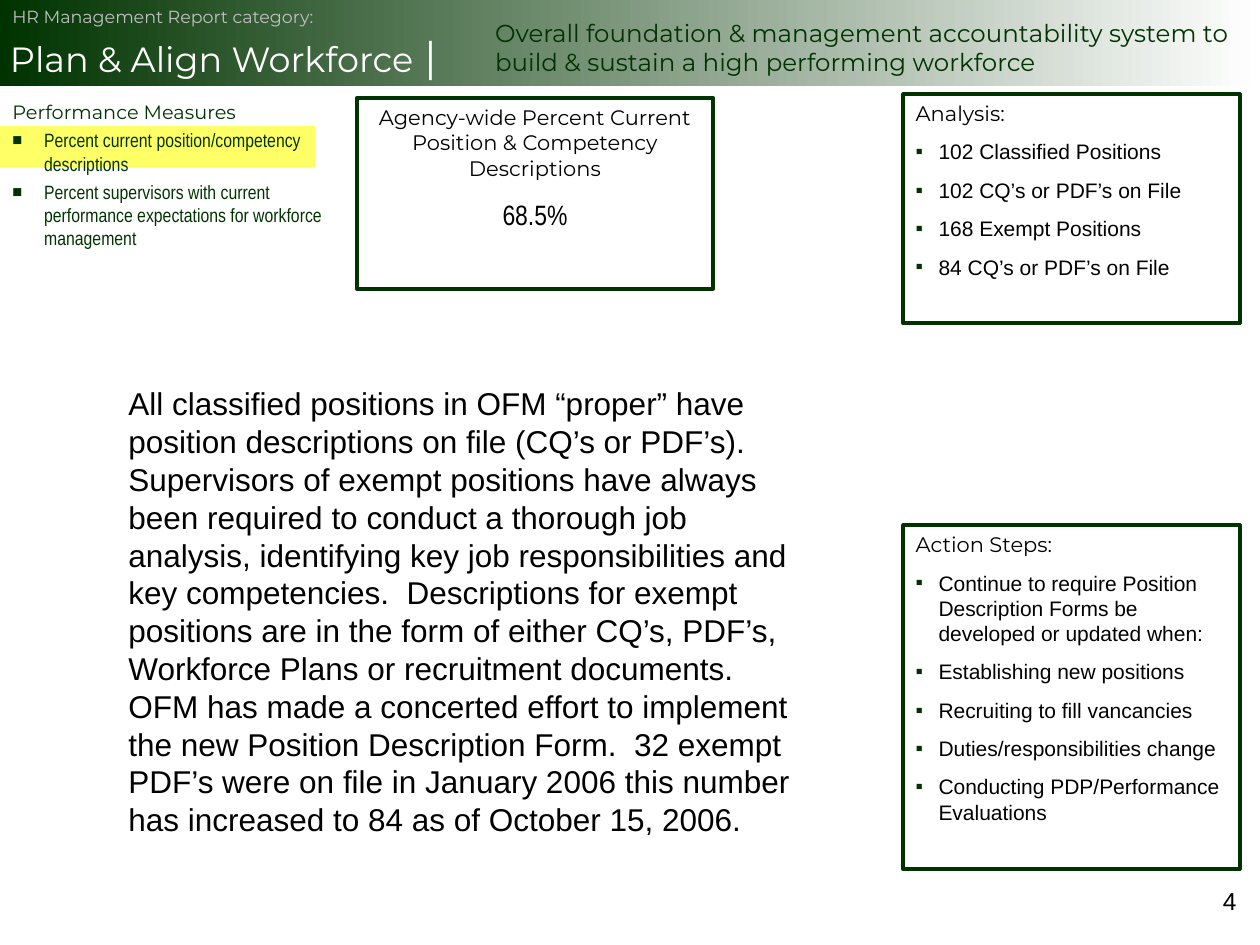
from lxml.etree import SubElement
from pptx import Presentation
from pptx.dml.color import RGBColor
from pptx.enum.shapes import MSO_SHAPE as Preset
from pptx.enum.text import MSO_ANCHOR as Anchor, MSO_AUTO_SIZE as AutoSize, PP_ALIGN as Align
from pptx.oxml.ns import qn
from pptx.util import Cm, Pt

GREEN = RGBColor(0x00, 0x33, 0x00)
YELLOW = RGBColor(0xFF, 0xFF, 0x66)
SILVER = RGBColor(0xC0, 0xC0, 0xC0)
WHITE = RGBColor(0xFF, 0xFF, 0xFF)
BLACK = RGBColor(0x00, 0x00, 0x00)
HEADING, BODY, NARROW = "Montserrat", "Arial", "Arial Narrow"

NARRATIVE = (
    "All classified positions in OFM “proper” have position descriptions on file "
    "(CQ’s or PDF’s).  Supervisors of exempt positions have always been required to "
    "conduct a thorough job analysis, identifying key job responsibilities and key "
    "competencies.  Descriptions for exempt positions are in the form of either CQ’s, "
    "PDF’s, Workforce Plans or recruitment documents.  OFM has made a concerted effort "
    "to implement the new Position Description Form.  32 exempt PDF’s were on file in "
    "January 2006 this number has increased to 84 as of October 15, 2006."
)
MEASURES = [
    "Percent current position/competency descriptions",
    "Percent supervisors with current performance expectations for workforce management",
]
ANALYSIS = [
    "102 Classified Positions",
    "102 CQ’s or PDF’s on File",
    "168 Exempt Positions",
    "84 CQ’s or PDF’s on File",
]
ACTIONS = [
    "Continue to require Position Description Forms be developed or updated when:",
    "Establishing new positions",
    "Recruiting to fill vancancies",
    "Duties/responsibilities change",
    "Conducting PDP/Performance Evaluations",
]


def set_all(target, values):
    """Set each named attribute of the target."""
    for name, value in values.items():
        setattr(target, name, value)


def prepare_frame(shape, **values):
    """Give a shape's text frame the common settings and return it."""
    defaults = dict(word_wrap=True, auto_size=AutoSize.NONE, vertical_anchor=Anchor.TOP,
                    margin_left=Cm(0.25), margin_right=Cm(0.25),
                    margin_top=Cm(0.13), margin_bottom=Cm(0.13))
    set_all(shape.text_frame, defaults | values)
    return shape.text_frame


def add_run(paragraph, text, size, name, color):
    """Append a formatted run to a paragraph."""
    run = paragraph.add_run()
    run.text = text
    set_all(run.font, dict(size=Pt(size), name=name))
    run.font.color.rgb = color


def add_paragraph(frame, text, size, name, color, **values):
    """Fill the empty first paragraph or append another one."""
    first = frame.paragraphs[0]
    paragraph = frame.add_paragraph() if first.runs else first
    set_all(paragraph, dict(alignment=Align.LEFT) | values)
    add_run(paragraph, text, size, name, color)
    return paragraph


def add_bullet(paragraph, symbol, indent, percent):
    """Give a paragraph a green hanging bullet."""
    properties = paragraph._p.get_or_add_pPr()
    properties.set("marL", str(indent))
    properties.set("indent", str(-indent))
    color = SubElement(properties, qn("a:buClr"))
    SubElement(color, qn("a:srgbClr"), val=str(GREEN))
    SubElement(properties, qn("a:buSzPct"), val=str(percent * 1000))
    SubElement(properties, qn("a:buFont"), typeface=BODY)
    SubElement(properties, qn("a:buChar"), char=symbol)


def add_bullet_list(frame, items, size, name, color, space, symbol, indent, percent=100):
    """Append bulleted paragraphs to a frame."""
    for item in items:
        paragraph = add_paragraph(frame, item, size, name, color, space_before=Pt(space))
        add_bullet(paragraph, symbol, indent, percent)


def add_text(slide, box, text, size, name, color, **values):
    """Add a text box with one paragraph and return its frame."""
    frame = prepare_frame(slide.shapes.add_textbox(*map(Cm, box)))
    add_paragraph(frame, text, size, name, color, **values)
    return frame


def add_rectangle(slide, box):
    """Add a rectangle without shadow or line."""
    shape = slide.shapes.add_shape(Preset.RECTANGLE, *map(Cm, box))
    shape.shadow.inherit = False
    shape.line.fill.background()
    return shape


def add_panel(slide, box, heading, alignment=Align.LEFT):
    """Add a green-framed panel with a heading and return its frame."""
    shape = add_rectangle(slide, box)
    shape.fill.background()
    shape.line.color.rgb = GREEN
    shape.line.width = Pt(2.25)
    frame = prepare_frame(shape)
    add_paragraph(frame, heading, 12, HEADING, BLACK, alignment=alignment)
    return frame


def add_band(slide):
    """Add the gradient header band with the category name."""
    band = add_rectangle(slide, (0, 0, 25.4, 1.73))
    band.fill.gradient()
    band.fill.gradient_angle = 0
    for stop, color in zip(band.fill.gradient_stops, (GREEN, WHITE)):
        stop.color.rgb = color
    frame = prepare_frame(band, margin_left=Cm(0.2), margin_right=Cm(0.2),
                          margin_top=Cm(0.1), margin_bottom=Cm(0.1))
    paragraph = add_paragraph(frame, "Plan & Align Workforce", 20, HEADING, WHITE,
                              line_spacing=1.5)
    add_run(paragraph, " |", 24, HEADING, WHITE)


def place_title(slide, box, text):
    """Move the title placeholder above the band and fill it."""
    title = slide.shapes.title
    set_all(title, dict(zip(("left", "top", "width", "height"), map(Cm, box))))
    slide.shapes.element.append(title.element)
    frame = prepare_frame(title, vertical_anchor=Anchor.MIDDLE)
    add_paragraph(frame, text, 14, HEADING, GREEN)


def main():
    """Build and save the slide."""
    presentation = Presentation()
    set_all(presentation, dict(slide_width=Cm(25.4), slide_height=Cm(19.05)))
    slide = presentation.slides.add_slide(presentation.slide_layouts[5])

    highlight = add_rectangle(slide, (0, 2.54, 6.35, 0.84))
    highlight.fill.solid()
    highlight.fill.fore_color.rgb = YELLOW
    measures = add_text(slide, (0, 1.9, 6.99, 5.28), "Performance Measures", 11, HEADING, GREEN)
    add_bullet_list(measures, MEASURES, 11, NARROW, GREEN, 2.8, "■", Cm(0.64), 85)

    add_band(slide)
    add_text(slide, (0, 0, 7.62, 0.69), "HR Management Report category:", 10, HEADING, SILVER)
    place_title(slide, (9.73, 0, 15.67, 1.9),
                "Overall foundation & management accountability system to "
                "build & sustain a high performing workforce")

    percent = add_panel(slide, (7.19, 1.98, 7.19, 3.84),
                        "Agency-wide Percent Current Position & Competency Descriptions",
                        Align.CENTER)
    add_paragraph(percent, "68.5%", 16, NARROW, BLACK, alignment=Align.CENTER,
                  space_before=Pt(10))
    add_text(slide, (2.34, 7.62, 13.97, 9.4), NARRATIVE, 18, BODY, BLACK)

    for heading, items, top, height in (("Analysis:", ANALYSIS, 1.9, 4.62),
                                        ("Action Steps:", ACTIONS, 10.59, 6.93)):
        panel = add_panel(slide, (18.21, top, 6.78, height), heading)
        add_bullet_list(panel, items, 12, BODY, BLACK, 7.5, "▪", Cm(0.46))

    add_text(slide, (19.25, 17.73, 5.93, 1.32), "4", 14, BODY, BLACK, alignment=Align.RIGHT)
    presentation.save("out.pptx")


if __name__ == "__main__":
    main()
